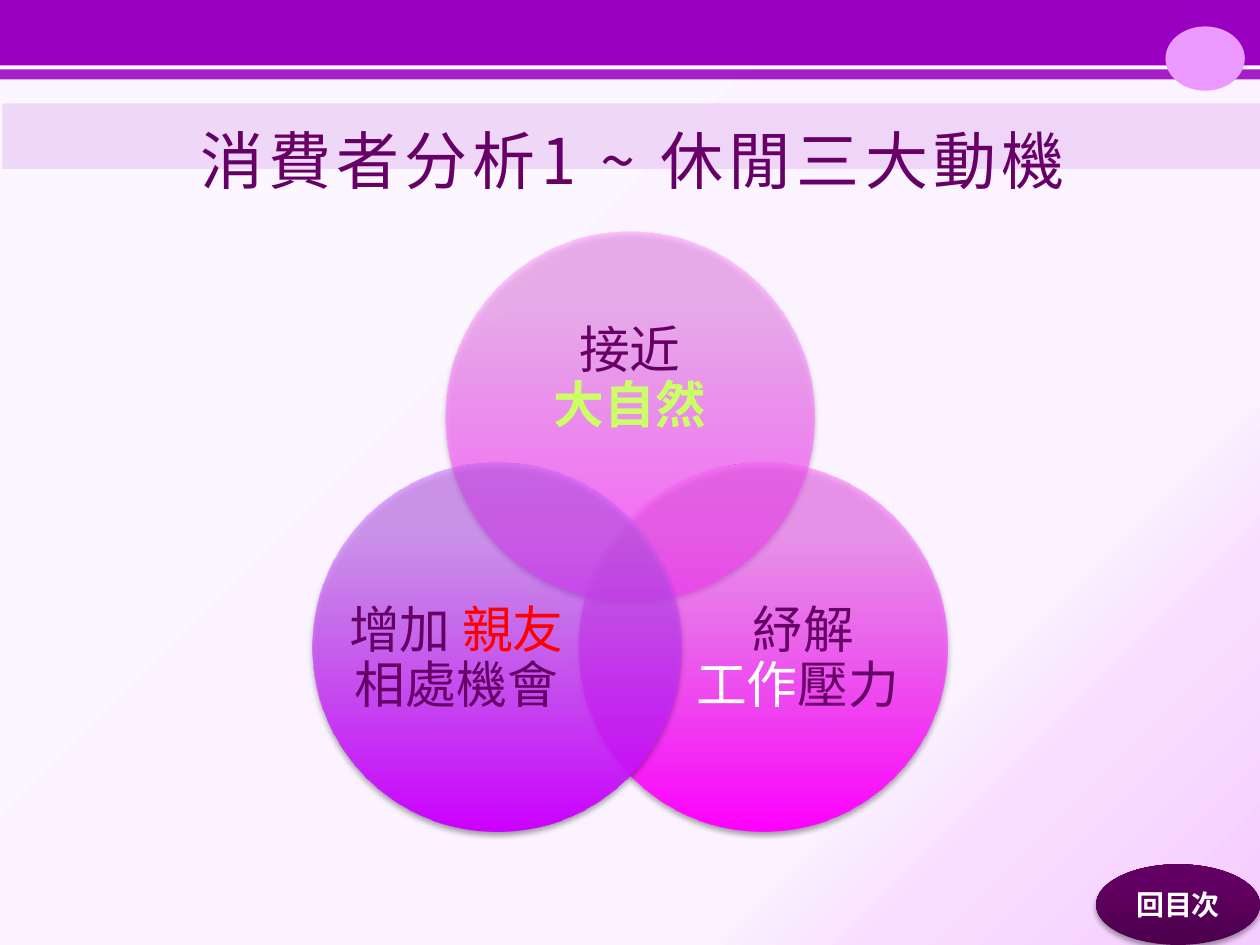
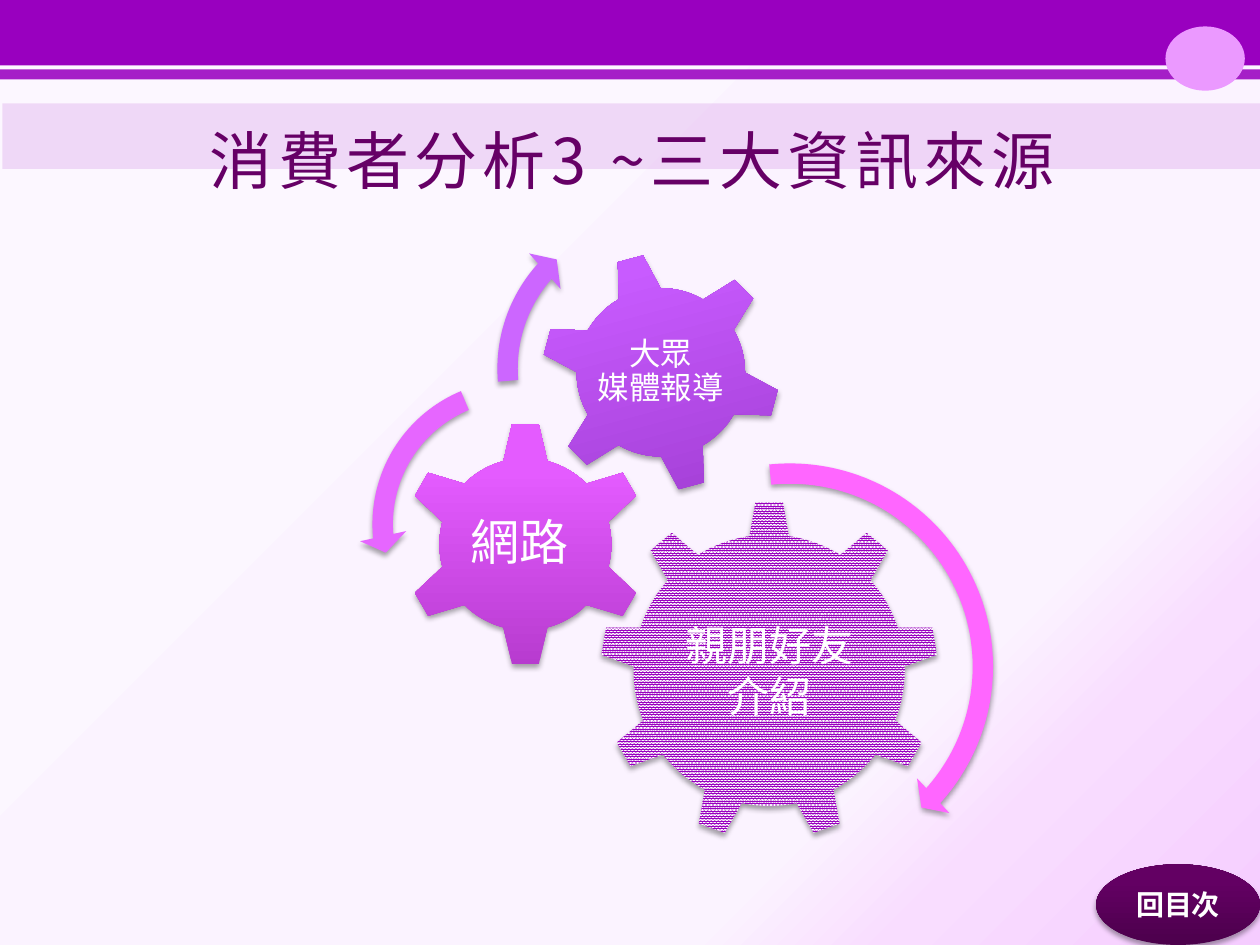
import math

from lxml import etree
from pptx import Presentation
from pptx import util as u
from pptx.dml.color import RGBColor
from pptx.enum import dml, shapes, text
from pptx.oxml import parse_xml
from pptx.oxml.ns import nsdecls, qn

CELL = u.Inches(0.1)
COLUMNS, ROWS = 100, 75
FONT = "Noto Sans CJK SC"
MSO = shapes.MSO_SHAPE
C = {
    "violet": "9900BF", "plum": "660066", "mauve": "EB99FF", "white": "FFFFFF",
    "lime": "CCFF66", "red": "FF0000", "pink": "FF66FF", "orchid": "E666FF",
    "lilac": "CC66FF",
}
BACKDROP = [(0, "FCF7FF"), (74, "FBF3FF"), (83, "F9DDFF"), (100, "F5CCFF")]
BUTTON = [(0, "4C004C"), (80, "630063"), (100, "630063")]
FROM_TOP_LEFT = '<a:path path="circle"><a:fillToRect r="100000" b="100000"/></a:path>'
UPWARD = '<a:lin ang="16200000" scaled="0"/>'


def rgb(value):
    """Return a colour object for a hex string."""
    return RGBColor.from_string(value)


def box(left, top, width, height):
    """Convert grid columns and rows to slide lengths."""
    return [round(n * CELL) for n in (left, top, width, height)]


def around(cx, cy, width, height):
    """Return the grid box centred on a point."""
    return cx - width / 2, cy - height / 2, width, height


def set_alpha(color, percent):
    """Make a colour element partly transparent."""
    etree.SubElement(color, qn("a:alpha")).set("val", str(percent * 1000))


def set_gradient(holder, stops, direction):
    """Swap the solid fill of a properties element for a gradient."""
    grad = parse_xml(f'<a:gradFill {nsdecls("a")} rotWithShape="1"><a:gsLst/>{direction}</a:gradFill>')
    for pos, value, *alpha in stops:
        gs = etree.SubElement(grad[0], qn("a:gs"), pos=str(pos * 1000))
        color = etree.SubElement(gs, qn("a:srgbClr"), val=value)
        if alpha:
            set_alpha(color, alpha[0])
    holder.replace(holder.find(qn("a:solidFill")), grad)


def add_shadow(sp):
    """Give a shape the soft shadow used in the diagrams."""
    effects = sp.element.spPr.find(qn("a:effectLst"))
    effects.append(parse_xml(
        f'<a:outerShdw {nsdecls("a")} blurRad="39000" dist="23000" dir="5400000" rotWithShape="0">'
        '<a:srgbClr val="000000"><a:alpha val="35000"/></a:srgbClr></a:outerShdw>'))


def add_figure(s, kind, at, fill, alpha=None, shadow=True):
    """Add a preset shape filled with a hex colour or gradient stops."""
    sp = s.shapes.add_shape(kind, *box(*at))
    sp.shadow.inherit = False
    sp.line.fill.background()
    sp.fill.solid()
    if isinstance(fill, str):
        sp.fill.fore_color.rgb = rgb(fill)
    else:
        set_gradient(sp.element.spPr, fill, UPWARD)
    if alpha:
        set_alpha(sp.element.spPr.find(".//" + qn("a:srgbClr")), alpha)
    if shadow:
        add_shadow(sp)
    return sp


def write(tf, paragraphs, size, leading=None, tracking=None):
    """Write centred paragraphs made of (text, colour, bold) runs."""
    tf.word_wrap = True
    tf.auto_size = text.MSO_AUTO_SIZE.NONE
    tf.vertical_anchor = text.MSO_ANCHOR.MIDDLE
    for i, runs in enumerate(paragraphs):
        p = tf.add_paragraph() if i else tf.paragraphs[0]
        p.alignment = text.PP_ALIGN.CENTER
        if leading:
            p.line_spacing = leading
        for words, color, *bold in runs:
            r = p.add_run()
            r.text = words.rstrip("\n")
            r.font.size = u.Pt(size)
            r.font.name = FONT
            r.font.bold = bool(bold)
            r.font.color.rgb = rgb(C[color])
            rpr = r.font._element
            etree.SubElement(rpr, qn("a:ea"), typeface=FONT)
            if tracking:
                rpr.set("spc", str(tracking * 100))
            if words.endswith("\n"):
                p.add_line_break()


def add_label(s, at, paragraphs, size, leading=None, inset=0):
    """Add a text box with equal margins."""
    tf = s.shapes.add_textbox(*box(*at)).text_frame
    tf.margin_left = tf.margin_right = tf.margin_top = tf.margin_bottom = round(inset * CELL)
    write(tf, paragraphs, size, leading)


def add_gear(s, kind, center, size, fill, label, paragraphs, text_size, leading=None, turn=0):
    """Add a gear with a text box of the given size at its centre."""
    sp = add_figure(s, kind, around(*center, size, size), fill)
    sp.rotation = turn
    add_label(s, around(*center, *label), paragraphs, text_size, leading, 0.3)
    return sp


def add_arc(s, kind, left, top, size, fill, adjustments):
    """Add a curved arrow; adjustments are in thousands."""
    sp = add_figure(s, kind, (left, top, size, size), fill)
    for i, value in enumerate(adjustments):
        sp.adjustments[i] = value / 100


def add_page(prs, title):
    """Add a slide with bands, title and return button."""
    s = prs.slides.add_slide(prs.slide_layouts[5])
    for at, alpha in (((0, 0, COLUMNS, 5.2), None),
                      ((0.2, 8.2, COLUMNS, 5.2), 12),
                      ((0, 5.5, COLUMNS, 0.8), 87)):
        add_figure(s, MSO.RECTANGLE, at, C["violet"], alpha, shadow=False)
    add_figure(s, MSO.OVAL, (92.5, 2.1, 6.3, 5.1), C["mauve"], shadow=False)
    heading = s.shapes.title
    heading.left, heading.top, heading.width, heading.height = box(7.7, 8.3, 85, 8.7)
    write(heading.text_frame, [[(title, "plum")]], 36, tracking=3)
    heading.element.getparent().append(heading.element)
    button = add_figure(s, MSO.OVAL, (COLUMNS - 13, ROWS - 6.4, 13, 6.4), BUTTON)
    write(button.text_frame, [[("回目次", "white", True)]], 16)
    return s


def add_motives(s):
    """Draw three overlapping circles spaced evenly round a point."""
    motives = [
        (("FF5CFF", "FF8CFF", "FF8EFF"), (0, -2.95), (21.5, 13.2),
         [("接近\n", "plum"), ("大自然", "lime", True)]),
        (("FF00FF", "FF5BFF", "FF5DFF"), (3.2, 1), (17.6, 16.1),
         [("紓解\n", "plum"), ("工作", "white"), ("壓力 ", "plum")]),
        (("CC00FF", "C85BFF", "C95DFF"), (-3.2, 1), (17.6, 16.1),
         [("增加 ", "plum"), ("親友\n", "red"), ("相處機會", "plum")]),
    ]
    for i, ((low, mid, high), (dx, dy), label, runs) in enumerate(motives):
        angle = math.radians(120 * i - 90)
        cx, cy = 50 + 12.2 * math.cos(angle), 45.25 + 12.2 * math.sin(angle)
        stops = [(0, low), (80, mid, 50), (100, high, 50)]
        add_figure(s, MSO.OVAL, around(cx, cy, 29.3, 29.3), stops)
        add_label(s, around(cx + dx, cy + dy, *label), [runs], 29, 0.9)


def add_sources(s):
    """Draw three gears and the arrows that turn round them."""
    friends = add_gear(s, MSO.GEAR_9, (61.05, 53.2), 26.9, C["violet"], (16.1, 13.8),
                       [[("親朋好友", "white")], [("介紹", "white")]], 24)
    friends.fill.patterned()
    friends.fill.pattern = dml.MSO_PATTERN.PERCENT_90
    friends.fill.fore_color.rgb = rgb(C["violet"])
    friends.fill.back_color.rgb = rgb(C["white"])
    add_gear(s, MSO.GEAR_6, (41.7, 43.2), 19.5,
             [(0, "B73BCF"), (80, "E45BFF"), (100, "E45DFF")], (9.7, 9.6),
             [[("網路 ", "white")]], 28, 0.9)
    add_gear(s, MSO.GEAR_6, (52.45, 29.55), 19.1,
             [(0, "9E3BCF"), (80, "C85BFF"), (100, "C95DFF")], (10.7, 10.7),
             [[("大眾", "white")], [("媒體報導", "white")]], 18, 0.9, 345)
    add_arc(s, MSO.CIRCULAR_ARROW, 45.5, 35.7, 34.4, C["pink"], (4.7, 299, 2522.3, 15848.2, 5.5))
    add_arc(s, MSO.LEFT_CIRCULAR_ARROW, 28.5, 29.1, 25, C["orchid"], (6.5, 430, 10489.1, 14837.8, 7.5))
    add_arc(s, MSO.CIRCULAR_ARROW, 38.4, 15.8, 26.9, C["lilac"], (6, 394.1, 13313.8, 10508.2, 7))


def main():
    """Build the two slides and save them."""
    prs = Presentation()
    prs.slide_width, prs.slide_height = COLUMNS * CELL, ROWS * CELL
    master = prs.slide_master
    master.background.fill.solid()
    set_gradient(master.element.find(".//" + qn("p:bgPr")), BACKDROP, FROM_TOP_LEFT)
    add_motives(add_page(prs, "消費者分析1 ~ 休閒三大動機"))
    add_sources(add_page(prs, "消費者分析3 ~三大資訊來源"))
    prs.save("out.pptx")


if __name__ == "__main__":
    main()
